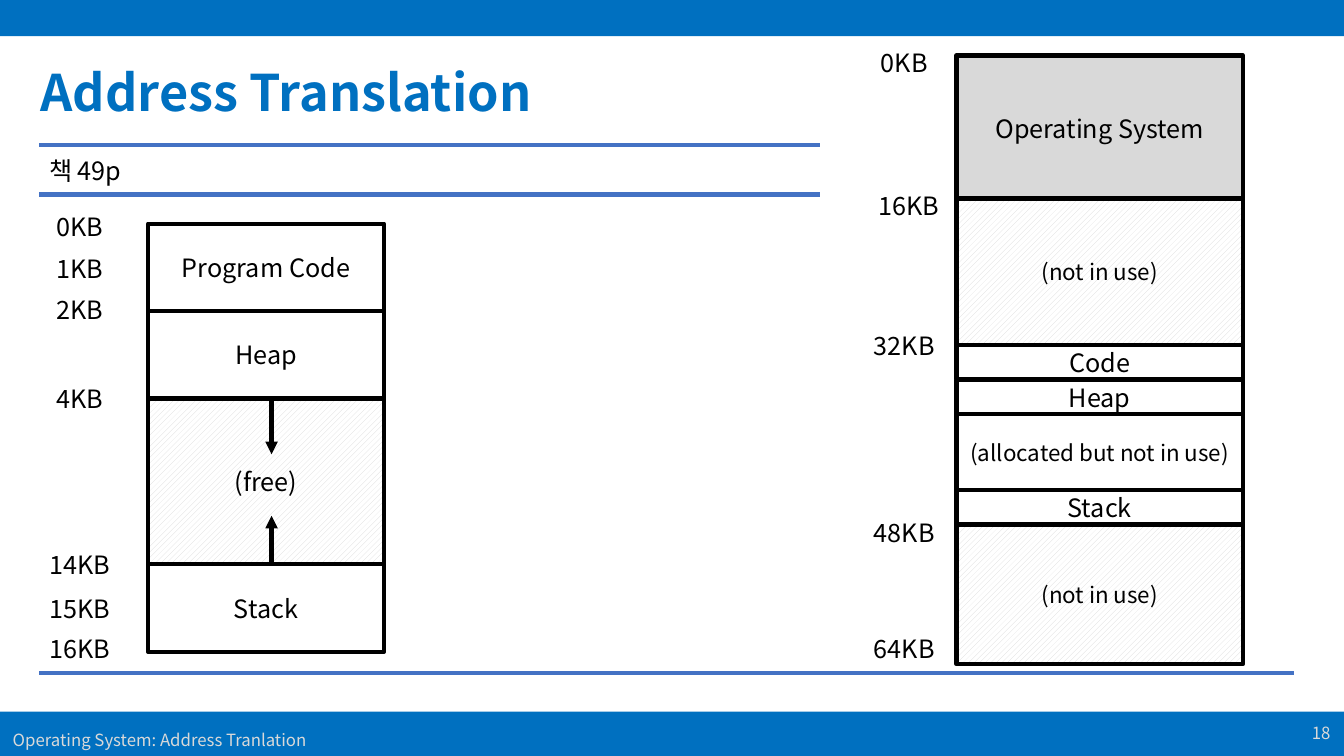
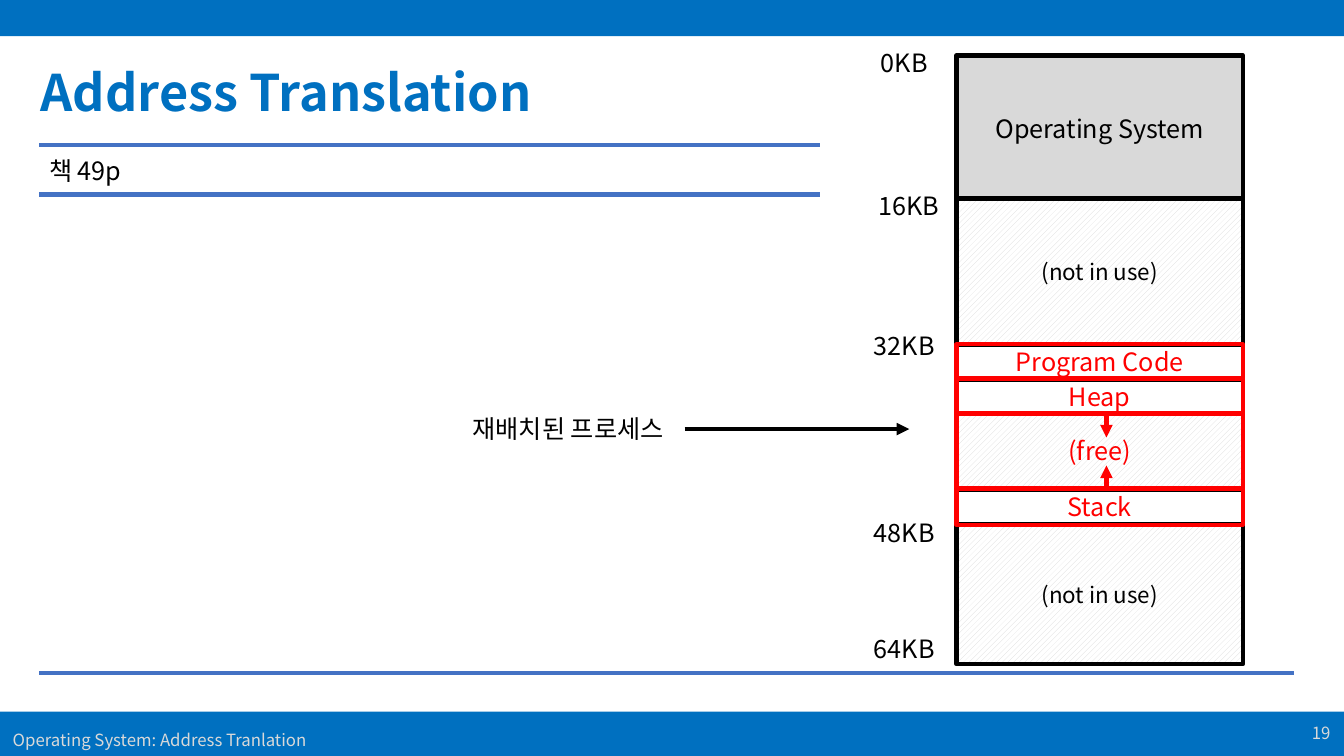
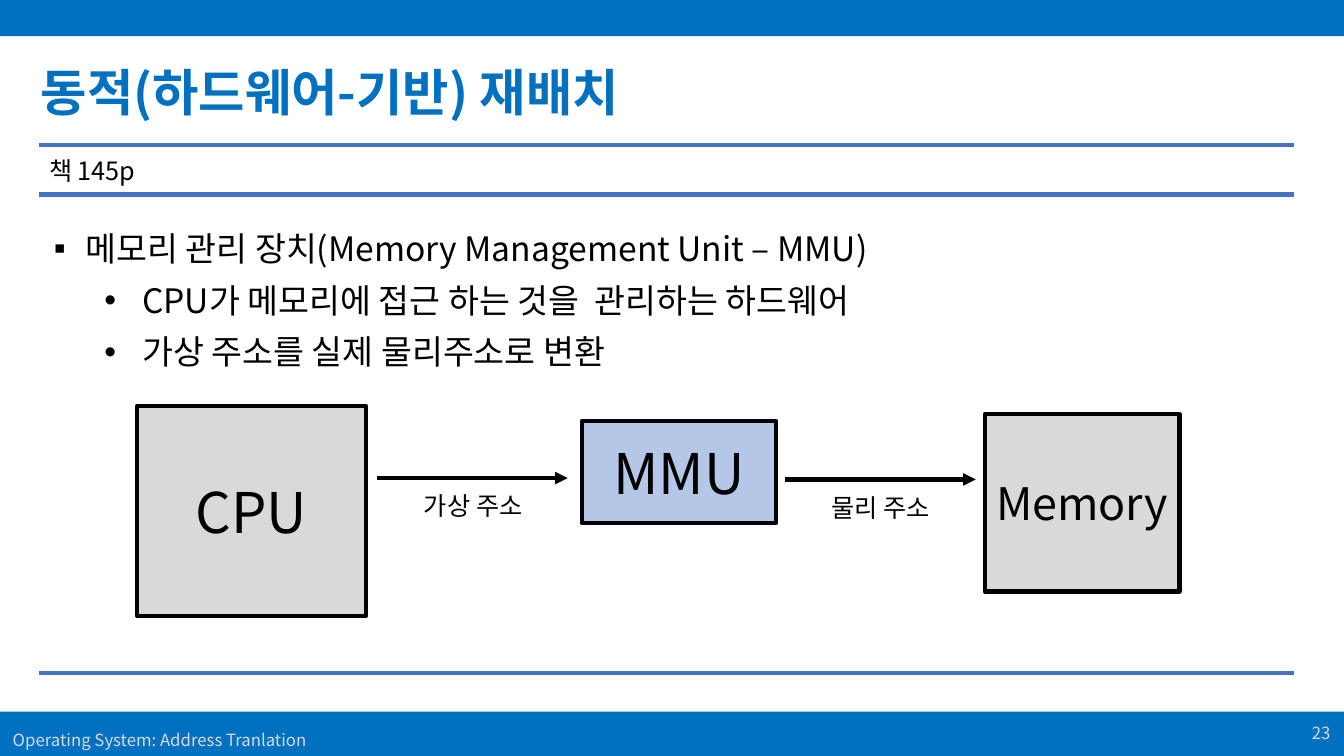
from dataclasses import dataclass

from lxml.etree import SubElement
from pptx import Presentation
from pptx.dml.color import RGBColor
from pptx.enum.dml import MSO_PATTERN
from pptx.enum.shapes import MSO_CONNECTOR, MSO_SHAPE
from pptx.enum.text import MSO_ANCHOR, PP_ALIGN
from pptx.oxml.ns import qn
from pptx.slide import Slide
from pptx.text.text import TextFrame, _Paragraph
from pptx.util import Pt

FONT = "Noto Sans CJK KR"
COLORS = {
    "brand": "0070C0",
    "rule": "4472C4",
    "footer": "D9D9D9",
    "gray": "D9D9D9",
    "light_blue": "B4C7E7",
    "white": "FFFFFF",
    "black": "000000",
    "red": "FF0000",
}
HATCHED = "hatched"
WIDTH, HEIGHT = 960, 540
MARGIN, RIGHT_EDGE, SHORT_EDGE = 28, 924, 586
LABEL_HEIGHT = 29


@dataclass
class Box:
    """A labelled rectangle; fill is a colour name, HATCHED or empty."""
    text: str
    left: float
    top: float
    width: float
    height: float
    fill: str = ""
    size: float = 18
    color: str = "black"


@dataclass
class Region:
    """A part of a memory map, placed by its column."""
    text: str
    top: float
    height: float
    fill: str = ""
    size: float = 18


@dataclass
class Label:
    text: str
    left: float
    top: float
    width: float = 58


@dataclass
class Bullet:
    text: str
    level: int
    mark: str
    margin: float
    hanging: float


PHYSICAL_LEFT, PHYSICAL_WIDTH = 683.3, 204.5
OUTER_REGIONS = [
    Region("Operating System", 39.6, 105, "gray"),
    Region("(not in use)", 141.8, 104.4, HATCHED, 16),
    Region("(not in use)", 375, 99.5, HATCHED, 16),
]
PROCESS_REGIONS = [
    Region("Code", 246.2, 24.7),
    Region("(allocated but not in use)", 295.9, 54, size=16),
    Region("Heap", 271.2, 24.7),
    Region("Stack", 350, 24.7),
]
RELOCATED_REGIONS = [
    Region("Program Code", 246, 24.5),
    Region("Heap", 270.7, 24.5),
    Region("(free)", 295.4, 53.3, HATCHED),
    Region("Stack", 349.2, 25.8),
]
PHYSICAL_LABELS = [
    Label("0KB", 617, 30),
    Label("16KB", 620, 132.5),
    Label("32KB", 617, 232),
    Label("48KB", 617, 365.5),
    Label("64KB", 617, 448.5),
]
VIRTUAL_LEFT, VIRTUAL_WIDTH = 105.8, 168.5
VIRTUAL_REGIONS = [
    Region("Program Code", 159.8, 62.4),
    Region("Heap", 222.2, 62.4),
    Region("(free)", 284.6, 118.4, HATCHED),
    Region("Stack", 403, 62.6),
]
VIRTUAL_LABELS = [
    Label(text, MARGIN, top)
    for text, top in [("0KB", 147.5), ("1KB", 177), ("2KB", 206.5), ("4KB", 270),
                      ("14KB", 388.5), ("15KB", 420), ("16KB", 448.5)]
]
MMU_BULLETS = [
    Bullet("메모리 관리 장치(Memory Management Unit – MMU)", 0, "▪", 22.5, 22.5),
    Bullet("CPU가 메모리에 접근 하는 것을  관리하는 하드웨어", 1, "•", 63, 27),
    Bullet("가상 주소를 실제 물리주소로 변환", 1, "•", 63, 27),
]
MMU_BOXES = [
    Box("CPU", 98, 290, 163.5, 150, "gray", 40),
    Box("MMU", 415.5, 301, 139, 72.5, "light_blue", 40),
    Box("Memory", 703.5, 296, 139, 126.5, "gray", 32),
]


def rgb(name: str) -> RGBColor:
    return RGBColor.from_string(COLORS[name])


def format_runs(paragraph: _Paragraph, size: float, color: str, bold: bool = False) -> None:
    for run in paragraph.runs:
        run.font.size = Pt(size)
        run.font.bold = bold
        run.font.name = FONT
        run.font.color.rgb = rgb(color)
        SubElement(run.font._element, qn("a:ea"), typeface=FONT)


def set_text(frame: TextFrame, text: str, size: float, color: str,
             align: PP_ALIGN, bold: bool = False) -> None:
    """Write one vertically centred paragraph."""
    frame.text = text
    frame.word_wrap = True
    frame.vertical_anchor = MSO_ANCHOR.MIDDLE
    frame.margin_top = frame.margin_bottom = 0
    if align == PP_ALIGN.CENTER:
        frame.margin_left = frame.margin_right = 0
    paragraph = frame.paragraphs[0]
    paragraph.alignment = align
    format_runs(paragraph, size, color, bold)


def add_text(slide: Slide, text: str, left: float, top: float, width: float,
             height: float = LABEL_HEIGHT, size: float = 18, color: str = "black",
             align: PP_ALIGN = PP_ALIGN.LEFT, bold: bool = False) -> None:
    shape = slide.shapes.add_textbox(Pt(left), Pt(top), Pt(width), Pt(height))
    set_text(shape.text_frame, text, size, color, align, bold)


def add_labels(slide: Slide, labels: list[Label]) -> None:
    for label in labels:
        add_text(slide, label.text, label.left, label.top, label.width,
                 align=PP_ALIGN.CENTER)


def add_band(slide: Slide, top: float, height: float) -> None:
    band = slide.shapes.add_shape(MSO_SHAPE.RECTANGLE, 0, Pt(top), Pt(WIDTH), Pt(height))
    band.shadow.inherit = False
    band.fill.solid()
    band.fill.fore_color.rgb = rgb("brand")
    band.line.fill.background()


def add_box(slide: Slide, box: Box) -> None:
    shape = slide.shapes.add_shape(MSO_SHAPE.RECTANGLE, Pt(box.left), Pt(box.top),
                                   Pt(box.width), Pt(box.height))
    shape.shadow.inherit = False
    if box.fill == HATCHED:
        shape.fill.patterned()
        shape.fill.pattern = MSO_PATTERN.WIDE_UPWARD_DIAGONAL
        shape.fill.fore_color.rgb = rgb("gray")
        shape.fill.back_color.rgb = rgb("white")
    elif box.fill:
        shape.fill.solid()
        shape.fill.fore_color.rgb = rgb(box.fill)
    else:
        shape.fill.background()
    shape.line.color.rgb = rgb(box.color)
    shape.line.width = Pt(3)
    if box.text:
        set_text(shape.text_frame, box.text, box.size, box.color, PP_ALIGN.CENTER)


def add_regions(slide: Slide, regions: list[Region], left: float, width: float,
                color: str = "black", labelled: bool = True) -> None:
    for region in regions:
        text = region.text if labelled else ""
        add_box(slide, Box(text, left, region.top, width, region.height,
                           region.fill, region.size, color))


def add_line(slide: Slide, start: tuple[float, float], end: tuple[float, float],
             color: str = "black", arrow: bool = True) -> None:
    line = slide.shapes.add_connector(MSO_CONNECTOR.STRAIGHT, Pt(start[0]), Pt(start[1]),
                                      Pt(end[0]), Pt(end[1]))
    line.line.color.rgb = rgb(color)
    line.line.width = Pt(3)
    properties = line._element.spPr
    if arrow:
        SubElement(properties.find(qn("a:ln")), qn("a:tailEnd"), type="triangle")
    SubElement(properties, qn("a:effectLst"))


def add_bullets(slide: Slide, bullets: list[Bullet]) -> None:
    shape = slide.shapes.add_textbox(Pt(31.5), Pt(159), Pt(642), Pt(111))
    frame = shape.text_frame
    frame.word_wrap = True
    for index, bullet in enumerate(bullets):
        paragraph = frame.add_paragraph() if index else frame.paragraphs[0]
        paragraph.text = bullet.text
        paragraph.level = bullet.level
        paragraph.line_spacing = Pt(29)
        paragraph.space_after = Pt(8)
        properties = paragraph._element.get_or_add_pPr()
        properties.set("marL", str(Pt(bullet.margin)))
        properties.set("indent", str(-Pt(bullet.hanging)))
        SubElement(properties, qn("a:buFont"), typeface="Arial")
        SubElement(properties, qn("a:buChar"), char=bullet.mark)
        format_runs(paragraph, 24, "black")


def add_page(presentation: Presentation, number: int, title: str, reference: str,
             rule_end: float) -> Slide:
    """Start a slide with the shared bands, footer, title and rules."""
    slide = presentation.slides.add_slide(presentation.slide_layouts[6])
    add_band(slide, 508.3, HEIGHT - 508.3)
    add_text(slide, "Operating System: Address Tranlation", 2, 514, 287,
             size=12, color="footer")
    add_text(slide, str(number), 741.5, 509, 216, size=12, color="footer",
             align=PP_ALIGN.RIGHT)
    add_band(slide, 0, 25.8)
    add_text(slide, title, 22, 39.6, 598, 51, 36, "brand", bold=True)
    for top, end in [(103.5, rule_end), (481, RIGHT_EDGE), (139, rule_end)]:
        add_line(slide, (MARGIN, top), (end, top), "rule", arrow=False)
    add_text(slide, reference, MARGIN, 107, 120)
    return slide


def add_physical_memory(slide: Slide, labelled: bool) -> None:
    add_regions(slide, OUTER_REGIONS, PHYSICAL_LEFT, PHYSICAL_WIDTH)
    add_regions(slide, PROCESS_REGIONS, PHYSICAL_LEFT, PHYSICAL_WIDTH, labelled=labelled)
    add_labels(slide, PHYSICAL_LABELS)


def add_address_space_slide(presentation: Presentation) -> None:
    slide = add_page(presentation, 18, "Address Translation", "책 49p", SHORT_EDGE)
    add_physical_memory(slide, labelled=True)
    add_regions(slide, VIRTUAL_REGIONS, VIRTUAL_LEFT, VIRTUAL_WIDTH)
    add_labels(slide, VIRTUAL_LABELS)
    add_line(slide, (194, 403), (194, 368.5))
    add_line(slide, (194, 284.5), (194, 324.5))


def add_relocation_slide(presentation: Presentation) -> None:
    slide = add_page(presentation, 19, "Address Translation", "책 49p", SHORT_EDGE)
    add_physical_memory(slide, labelled=False)
    add_regions(slide, RELOCATED_REGIONS, PHYSICAL_LEFT, PHYSICAL_WIDTH, "red")
    add_line(slide, (790.3, 347), (790.3, 332.5), "red")
    add_line(slide, (790.3, 296), (790.3, 312.5), "red")
    add_line(slide, (489, 306.5), (649.5, 306.5))
    add_text(slide, "재배치된 프로세스", 330.5, 291.5, 164)


def add_mmu_slide(presentation: Presentation) -> None:
    slide = add_page(presentation, 23, "동적(하드웨어-기반) 재배치", "책 145p", RIGHT_EDGE)
    add_bullets(slide, MMU_BULLETS)
    for box in MMU_BOXES:
        add_box(slide, box)
    add_line(slide, (269.5, 341.5), (405.5, 341.5))
    add_line(slide, (561, 342.5), (697, 342.5))
    add_labels(slide, [Label("가상 주소", 286, 346.5, 104),
                       Label("물리 주소", 577, 348, 104)])


def main() -> None:
    presentation = Presentation()
    presentation.slide_width = Pt(WIDTH)
    presentation.slide_height = Pt(HEIGHT)
    add_address_space_slide(presentation)
    add_relocation_slide(presentation)
    add_mmu_slide(presentation)
    presentation.save("out.pptx")


if __name__ == "__main__":
    main()
